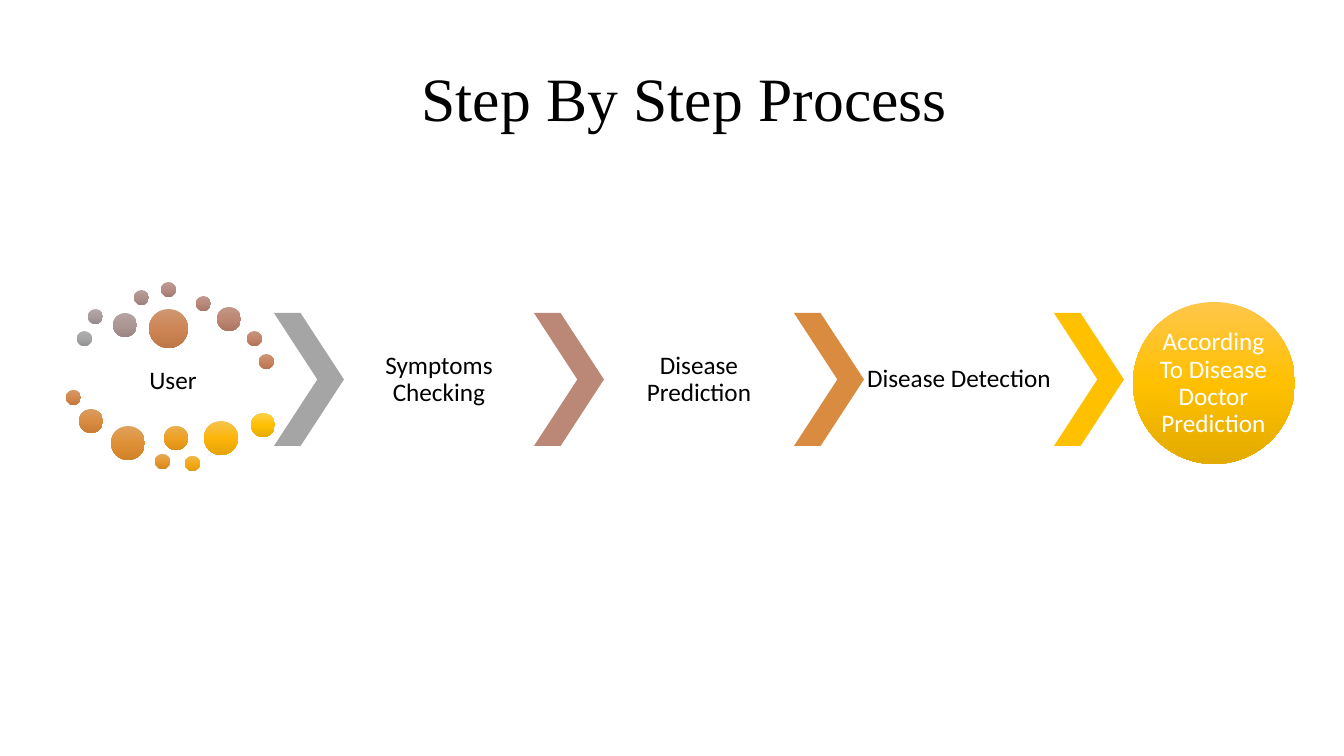
from copy import deepcopy

from pptx import Presentation
from pptx.dml.color import RGBColor
from pptx.enum.shapes import MSO_SHAPE as Shape
from pptx.enum.text import MSO_ANCHOR as Anchor, PP_ALIGN as Align
from pptx.oxml.ns import qn
from pptx.util import Pt

EMU_PER_PX = 12192000 / 1344

BLACK = RGBColor(0x00, 0x00, 0x00)
WHITE = RGBColor(0xFF, 0xFF, 0xFF)
GRAY = RGBColor(0xA5, 0xA5, 0xA5)
CLAY = RGBColor(0xBB, 0x87, 0x76)
ORANGE = RGBColor(0xD9, 0x8C, 0x3F)
GOLD = RGBColor(0xFF, 0xC0, 0x00)
GOLD_STOPS = (RGBColor(0xFF, 0xC6, 0x4B), GOLD, RGBColor(0xE3, 0xAB, 0x00))

TITLE_FORMAT = {"name": "Times New Roman", "size": Pt(44)}
LABEL_FORMAT = {"name": "Calibri", "size": Pt(18)}

# Left, top and diameter of each dot, then red and blue of its three stops
DOTS = [
    (11, 49, 15, "AFAF A5A5 9393"),
    (22, 27, 15, "B2A9 A99D 968B"),
    (47, 31, 24, "B5A2 AC95 9A83"),
    (68, 8, 15, "B89B B08D 9F7C"),
    (95, 0, 15, "BB95 B585 A373"),
    (130, 14, 15, "BF8E B97C A86B"),
    (151, 25, 24, "C287 BE73 AD62"),
    (181, 49, 15, "C680 C36A B259"),
    (193, 72, 15, "CB79 C860 B850"),
    (83, 27, 39, "CF72 CE56 BD47"),
    (0, 108, 15, "D46B D44C C33D"),
    (13, 127, 24, "D964 DA42 CA33"),
    (45, 144, 34, "DE5E E038 D029"),
    (89, 172, 15, "E459 E72D D71E"),
    (98, 144, 24, "E954 EE22 DE14"),
    (119, 174, 15, "EF50 F517 E509"),
    (138, 139, 34, "F54D FC0B E505"),
    (185, 131, 24, "FC4C FF04 E501"),
]
STEPS = [
    (GRAY, "Symptoms Checking"),
    (CLAY, "Disease Prediction"),
    (ORANGE, "Disease Detection"),
    (GOLD, None),
]
STEP_PITCH, CHEVRON_WIDTH, LABEL_WIDTH = 260, 70, 190


def px(*lengths):
    return [round(length * EMU_PER_PX) for length in lengths]


def warm_stops(pairs, progress):
    """Turn red and blue pairs into colours whose hue runs from red to gold."""
    stops = []
    for pair in pairs.split():
        red, blue = int(pair[:2], 16), int(pair[2:], 16)
        green = round(blue + (red - blue) * 0.75 * progress)
        stops.append(RGBColor(red, green, blue))
    return stops


def add_text(slide, box, text, text_format, color=BLACK, inset=3):
    frame = slide.shapes.add_textbox(*px(*box)).text_frame
    margin = px(inset)[0]
    settings = {"word_wrap": True, "vertical_anchor": Anchor.MIDDLE,
                "margin_left": margin, "margin_right": margin,
                "margin_top": margin, "margin_bottom": margin}
    for name, value in settings.items():
        setattr(frame, name, value)
    paragraph = frame.paragraphs[0]
    paragraph.alignment = Align.CENTER
    paragraph.line_spacing = 0.9
    run = paragraph.add_run()
    run.text = text
    for name, value in text_format.items():
        setattr(run.font, name, value)
    run.font.color.rgb = color


def add_shape(slide, kind, box):
    shape = slide.shapes.add_shape(kind, *px(*box))
    shape.shadow.inherit = False
    shape.line.fill.background()
    return shape


def add_ball(slide, box, colors):
    fill = add_shape(slide, Shape.OVAL, box).fill
    fill.gradient()
    fill.gradient_angle = 270
    # Third stop for the middle colour
    shape = slide.shapes[-1]
    stop_list = next(shape.element.iter(qn("a:gsLst")))
    stop_list.append(deepcopy(stop_list[0]))
    for stop, position, color in zip(fill.gradient_stops, (0, 0.5, 1), colors):
        stop.position = position
        stop.color.rgb = color


def add_user(slide, left, top):
    add_text(slide, (left + 12, top + 68, 190, 62), "User", LABEL_FORMAT)
    for index, (x, y, diameter, pairs) in enumerate(DOTS):
        colors = warm_stops(pairs, index / (len(DOTS) - 1))
        add_ball(slide, (left + x, top + y, diameter, diameter), colors)


def add_steps(slide, left, top, height):
    for index, (color, label) in enumerate(STEPS):
        x = left + index * STEP_PITCH
        chevron = add_shape(slide, Shape.CHEVRON, (x, top, CHEVRON_WIDTH, height))
        chevron.adjustments[0] = 0.62
        chevron.fill.solid()
        chevron.fill.fore_color.rgb = color
        if label:
            box = (x + CHEVRON_WIDTH, top, LABEL_WIDTH, height)
            add_text(slide, box, label, LABEL_FORMAT)


def add_result(slide, left, top, diameter):
    add_ball(slide, (left, top, diameter, diameter), GOLD_STOPS)
    inner = (left + 23, top + 24, diameter - 47, diameter - 47)
    add_text(slide, inner, "According To Disease Doctor Prediction",
             LABEL_FORMAT, WHITE, inset=0)


def main():
    presentation = Presentation()
    presentation.slide_width, presentation.slide_height = px(1344, 756)
    slide = presentation.slides.add_slide(presentation.slide_layouts[6])
    add_text(slide, (105, 29, 1159, 146), "Step By Step Process", TITLE_FORMAT)
    add_user(slide, 66, 282)
    add_steps(slide, 274, 313, 133)
    add_result(slide, 1133, 302, 162)
    presentation.save("out.pptx")


if __name__ == "__main__":
    main()
